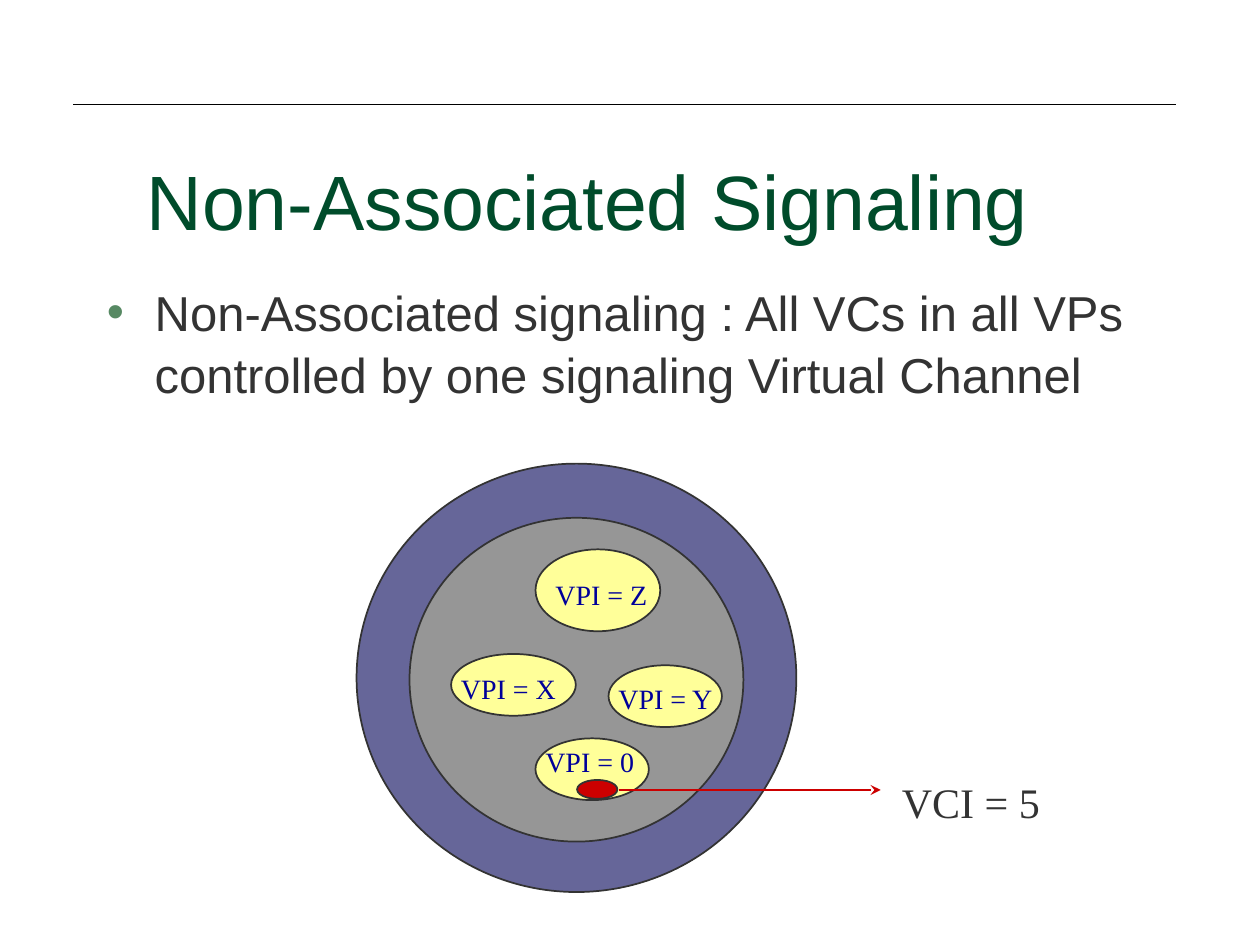
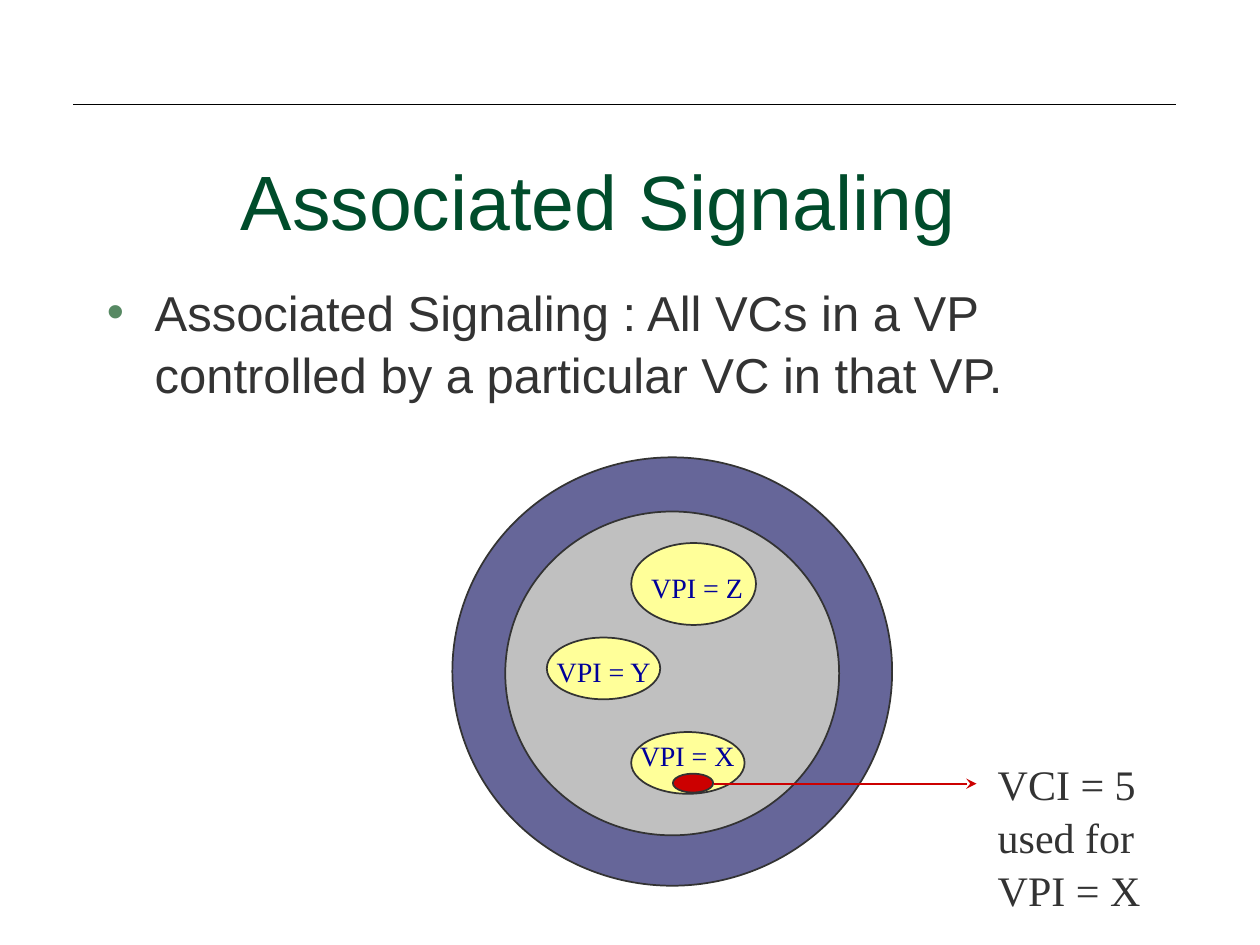
from lxml import etree
from pptx import Presentation
from pptx import util as u
from pptx.dml import color
from pptx.enum import shapes, text
from pptx.oxml import ns

TITLE = {"name": "Arial", "size": u.Pt(44), "color": "004C2B"}
BODY = {"name": "Arial", "size": u.Pt(28), "color": "333333"}
LABEL = {"name": "Times New Roman", "size": u.Pt(16), "color": "000099"}
NOTE = {"name": "Times New Roman", "size": u.Pt(24), "color": "333333"}
FRAME = {
    "margin_left": u.Inches(0.1), "margin_right": u.Inches(0.1),
    "margin_top": u.Inches(0.05), "margin_bottom": u.Inches(0.05),
}
DARK, RED, BLUE, YELLOW = "333333", "CC0000", "666699", "FFFF99"
WIDTHS = {"VPI = Z": 0.93, "VPI = X": 0.96, "VPI = Y": 0.96, "VPI = 0": 0.91}


def paint(target, code):
    target.rgb = color.RGBColor.from_string(code)


def apply(target, values):
    for key, value in values.items():
        if key == "color":
            paint(target.color, value)
        else:
            setattr(target, key, value)


def add_node(parent, tag, **attrs):
    return etree.SubElement(parent, ns.qn(tag), attrs)


def add_text(parts, box, lines, font, **frame):
    item = parts.add_textbox(*map(u.Inches, box))
    body = item.text_frame
    apply(body, {**FRAME, "word_wrap": False, **frame})
    body.text = "\n".join(lines)
    for para in body.paragraphs:
        para.line_spacing = 1.05
        apply(para.runs[0].font, font)
    return body.paragraphs[0]


def add_oval(parts, box, fill):
    oval = parts.add_shape(shapes.MSO_SHAPE.OVAL, *map(u.Inches, box))
    oval.shadow.inherit = False
    oval.fill.solid()
    paint(oval.fill.fore_color, fill)
    apply(oval.line, {"color": DARK, "width": u.Pt(1)})


def add_line(parts, start, end, code, width, arrow=False):
    line = parts.add_connector(
        shapes.MSO_CONNECTOR.STRAIGHT, *map(u.Inches, start + end))
    apply(line.line, {"color": code, "width": u.Pt(width)})
    if arrow:
        add_node(line.line._get_or_add_ln(), "a:tailEnd", type="stealth")
    add_node(line._element.spPr, "a:effectLst")


def add_bullet(para, mark, code):
    props = para._p.get_or_add_pPr()
    props.set("marL", str(u.Inches(0.38)))
    props.set("indent", str(-u.Inches(0.38)))
    tint = add_node(props, "a:buClr")
    add_node(tint, "a:srgbClr", val=code)
    add_node(props, "a:buFont", typeface="Arial")
    add_node(props, "a:buChar", char=mark)


def add_page(deck, title, point):
    parts = deck.slides.add_slide(deck.slide_layouts[6]).shapes
    add_line(parts, (0.58, 0.83), (9.33, 0.83), "000000", 0.75)
    head = add_text(parts, (0.5, 1.33, 8.5, 0.67), [title], TITLE,
                    word_wrap=True, vertical_anchor=text.MSO_ANCHOR.BOTTOM)
    head.alignment = text.PP_ALIGN.CENTER
    para = add_text(parts, (0.75, 2.17, 8.5, 4.5), [point], BODY,
                    word_wrap=True)
    add_bullet(para, "•", "578963")
    return parts


def add_pipe(page, left, top, core, paths, note, note_box):
    parts = page.add_group_shape().shapes

    def place(x, y, *size):
        return (left + x, top + y) + size

    add_oval(parts, place(0, 0, 3.49, 3.4), BLUE)
    add_oval(parts, place(0.42, 0.43, 2.65, 2.57), core)
    for _, box, _ in paths:
        add_oval(parts, place(*box), YELLOW)
    add_oval(parts, place(1.75, 2.51, 0.32, 0.15), RED)
    for name, (x, y, _, _), (dx, dy) in paths:
        add_text(parts, place(x + dx, y + dy, WIDTHS[name], 0.37),
                 [name], LABEL)
    add_line(parts, place(2.08, 2.59), place(4.16, 2.59), RED, 1, arrow=True)
    add_text(parts, place(*note_box), note, NOTE)


def main():
    deck = Presentation()
    deck.slide_width, deck.slide_height = u.Inches(10), u.Inches(7.5)
    top_path = ("VPI = Z", (1.42, 0.68, 0.99, 0.65), (0.06, 0.16))
    low_box = (1.42, 2.18, 0.9, 0.49)

    page = add_page(
        deck, "Non-Associated Signaling ",
        "Non-Associated signaling : All VCs in all VPs controlled by "
        "one signaling Virtual Channel")
    add_pipe(page, 2.83, 3.68, "969696", [
        top_path,
        ("VPI = X", (0.75, 1.51, 0.99, 0.49), (-0.02, 0.08)),
        ("VPI = Y", (2, 1.6, 0.9, 0.49), (-0.02, 0.07)),
        ("VPI = 0", low_box, (-0.02, -0.01)),
    ], ["VCI = 5"], (4.23, 2.41, 1.3, 0.5))

    page = add_page(
        deck, "Associated Signaling",
        "Associated Signaling : All VCs in a VP controlled by "
        "a particular VC in that VP.")
    add_pipe(page, 3.59, 3.63, "C0C0C0", [
        top_path,
        ("VPI = Y", (0.75, 1.43, 0.9, 0.49), (-0.02, 0.07)),
        ("VPI = X", low_box, (-0.03, -0.01)),
    ], ["VCI = 5", "used for", "VPI = X"], (4.23, 2.32, 1.42, 1.3))

    deck.save("out.pptx")


if __name__ == "__main__":
    main()
